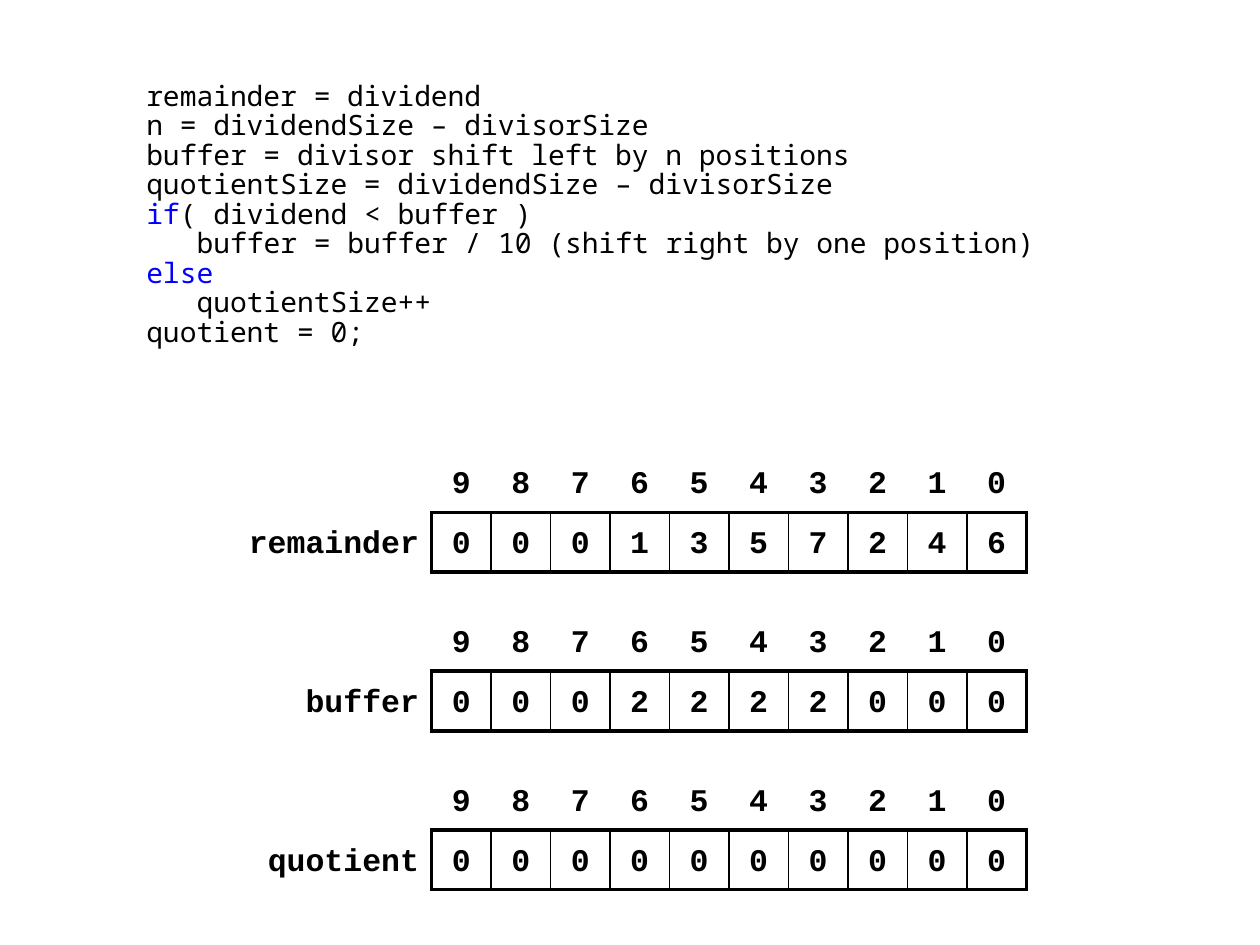
from lxml import etree
from pptx import Presentation
from pptx.dml.color import RGBColor
from pptx.enum.text import MSO_ANCHOR, PP_ALIGN
from pptx.oxml.ns import qn
from pptx.util import Pt

CENTER, RIGHT = PP_ALIGN.CENTER, PP_ALIGN.RIGHT
TOP = MSO_ANCHOR.TOP
BLACK, BLUE = "000000", "0000FF"
NO_STYLE = "{2D5ABB26-0587-4C30-8999-92F81FD0307C}"
THICK, THIN = 2.25, 1
DIGITS, CELL, LABEL_WIDTH = 10, 34, 113.4


def add_run(paragraph, text, font, size, color, bold=False):
    run = paragraph.add_run()
    run.text = text
    run.font.name = font
    run.font.size = Pt(size)
    run.font.bold = bold
    run.font.color.rgb = RGBColor.from_string(color)


def add_border(cell, side, width):
    line = etree.SubElement(cell._tc.get_or_add_tcPr(), qn("a:ln" + side), w=str(Pt(width)))
    fill = etree.SubElement(line, qn("a:solidFill"))
    etree.SubElement(fill, qn("a:srgbClr"), val=BLACK)


prs = Presentation()
prs.slide_width, prs.slide_height = Pt(720), Pt(540)
slide = prs.slides.add_slide(prs.slide_layouts[6])

code_lines = [
    (0, "", "remainder = dividend"),
    (0, "", "n = dividendSize – divisorSize"),
    (0, "", "buffer = divisor shift left by n positions"),
    (0, "", "quotientSize = dividendSize – divisorSize"),
    (0, "if", "( dividend < buffer )"),
    (28.8, "", "buffer = buffer / 10 (shift right by one position)"),
    (0, "else", ""),
    (28.8, "", "quotientSize++"),
    (0, "", "quotient = 0;"),
]
code = slide.shapes.add_textbox(Pt(76.5), Pt(43.5), Pt(522), Pt(181.5)).text_frame
code.word_wrap = True
code.vertical_anchor = TOP
for i, (indent, keyword, statement) in enumerate(code_lines):
    paragraph = code.paragraphs[0] if i == 0 else code.add_paragraph()
    paragraph.line_spacing = 0.88
    paragraph._p.get_or_add_pPr().set("indent", str(Pt(indent)))
    for text, color in ((keyword, BLUE), (statement, BLACK)):
        if text:
            add_run(paragraph, text, "Noto Sans Mono", 16, color)

registers = [("remainder", "0001357246"), ("buffer", "0002222000"), ("quotient", "0000000000")]
for i, (label, digits) in enumerate(registers):
    frame = slide.shapes.add_table(
        2, DIGITS + 1, Pt(133.2), Pt(258.5 + 90.75 * i), Pt(LABEL_WIDTH + DIGITS * CELL), Pt(2 * CELL))
    register = frame.table
    register.first_row = register.horz_banding = False
    register._tbl.tblPr.find(qn("a:tableStyleId")).text = NO_STYLE
    for col, column in enumerate(register.columns):
        column.width = Pt(CELL if col else LABEL_WIDTH)
    for row, texts in enumerate((["", *"9876543210"], [label, *digits])):
        register.rows[row].height = Pt(CELL)
        for col, text in enumerate(texts):
            cell = register.cell(row, col)
            cell.margin_left = cell.margin_right = Pt(7.2)
            cell.margin_top = cell.margin_bottom = Pt(3.6)
            cell.vertical_anchor = TOP
            paragraph = cell.text_frame.paragraphs[0]
            paragraph.alignment = CENTER if col else RIGHT
            paragraph.line_spacing = 1.25
            if text:
                add_run(paragraph, text, "Courier New", 18, BLACK, bold=True)
            if row and col:
                add_border(cell, "L", THICK if col == 1 else THIN)
            if row:
                add_border(cell, "R", THICK if col in (0, DIGITS) else THIN)
            if row and col:
                add_border(cell, "T", THICK)
            if col:
                add_border(cell, "B", THICK)
            cell.fill.background()

prs.save("out.pptx")
